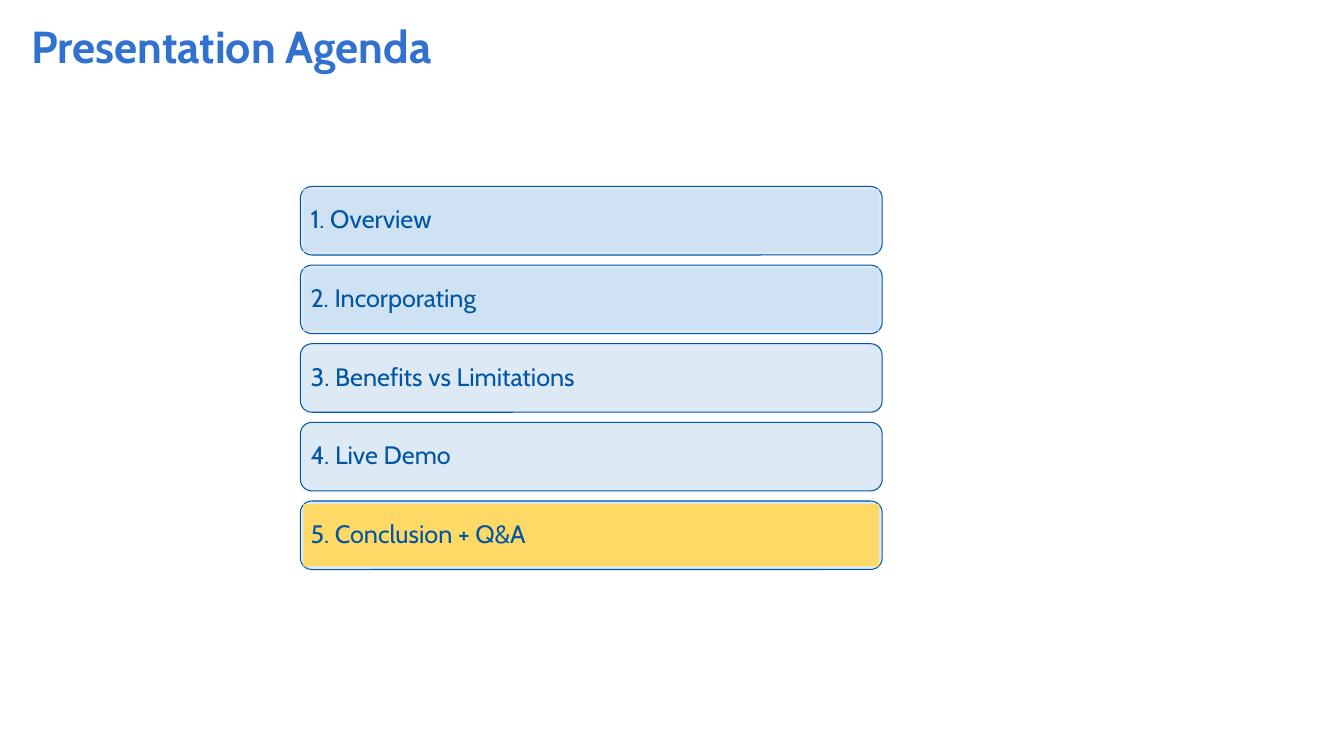
"""Builds the presentation agenda slide with its five topic bars."""
from dataclasses import dataclass

from pptx import Presentation
from pptx.dml.color import RGBColor
from pptx.enum.shapes import MSO_SHAPE
from pptx.enum.text import MSO_ANCHOR, PP_ALIGN
from pptx.util import Inches, Pt


@dataclass(frozen=True)
class Theme:
    font: str = "Cabin"
    title: str = "3171CF"
    ink: str = "0055A5"
    bar: str = "DDEAF6"
    covered: str = "CFE2F3"
    current: str = "FFD966"
    title_size: int = 32
    item_size: int = 18


def write(sp, text, size, color, bold, inset_x, inset_y):
    tf = sp.text_frame
    tf.word_wrap = True
    tf.vertical_anchor = MSO_ANCHOR.MIDDLE
    tf.margin_left = tf.margin_right = Inches(inset_x)
    tf.margin_top = tf.margin_bottom = Inches(inset_y)
    p = tf.paragraphs[0]
    p.text = text
    p.alignment = PP_ALIGN.LEFT
    p.line_spacing = 0.9
    p.space_before = Pt(0)
    p.font.name = theme.font
    p.font.size = Pt(size)
    p.font.bold = bold
    p.font.color.rgb = RGBColor.from_string(color)


def add_box(kind, left, top, width, height, fill):
    sp = s.shapes.add_shape(kind, Inches(left), Inches(top), Inches(width), Inches(height))
    sp.shadow.inherit = False
    if fill:
        sp.fill.solid()
        sp.fill.fore_color.rgb = RGBColor.from_string(fill)
    else:
        sp.fill.background()
    sp.line.fill.background()
    return sp


theme = Theme()
prs = Presentation()
prs.slide_width, prs.slide_height = Inches(13.33), Inches(7.5)
s = prs.slides.add_slide(prs.slide_layouts[5])

title = s.shapes.title
title.left, title.top, title.width, title.height = Inches(0.24), Inches(0.24), Inches(7), Inches(0.5)
write(title, "Presentation Agenda", theme.title_size, theme.title, True, 0.07, 0.04)

left, top, width, height = 2.98, 1.85, 5.77, 0.68
pitch, rim = 0.78, 0.03
agenda = [
    ("Overview", theme.covered),
    ("Incorporating", theme.covered),
    ("Benefits vs Limitations", None),
    ("Live Demo", None),
    ("Conclusion + Q&A", theme.current),
]

for i, (topic, fill) in enumerate(agenda):
    y = top + i * pitch
    bar = add_box(MSO_SHAPE.ROUNDED_RECTANGLE, left, y, width, height, theme.bar)
    bar.adjustments[0] = 0.167
    bar.line.color.rgb = RGBColor.from_string(theme.ink)
    bar.line.width = Pt(0.75)
    label = add_box(MSO_SHAPE.RECTANGLE, left + rim, y + rim, width - 2 * rim, height - 2 * rim, fill)
    write(label, f"{i + 1}. {topic}", theme.item_size, theme.ink, False, 0.07, 0.07)

prs.save("out.pptx")
